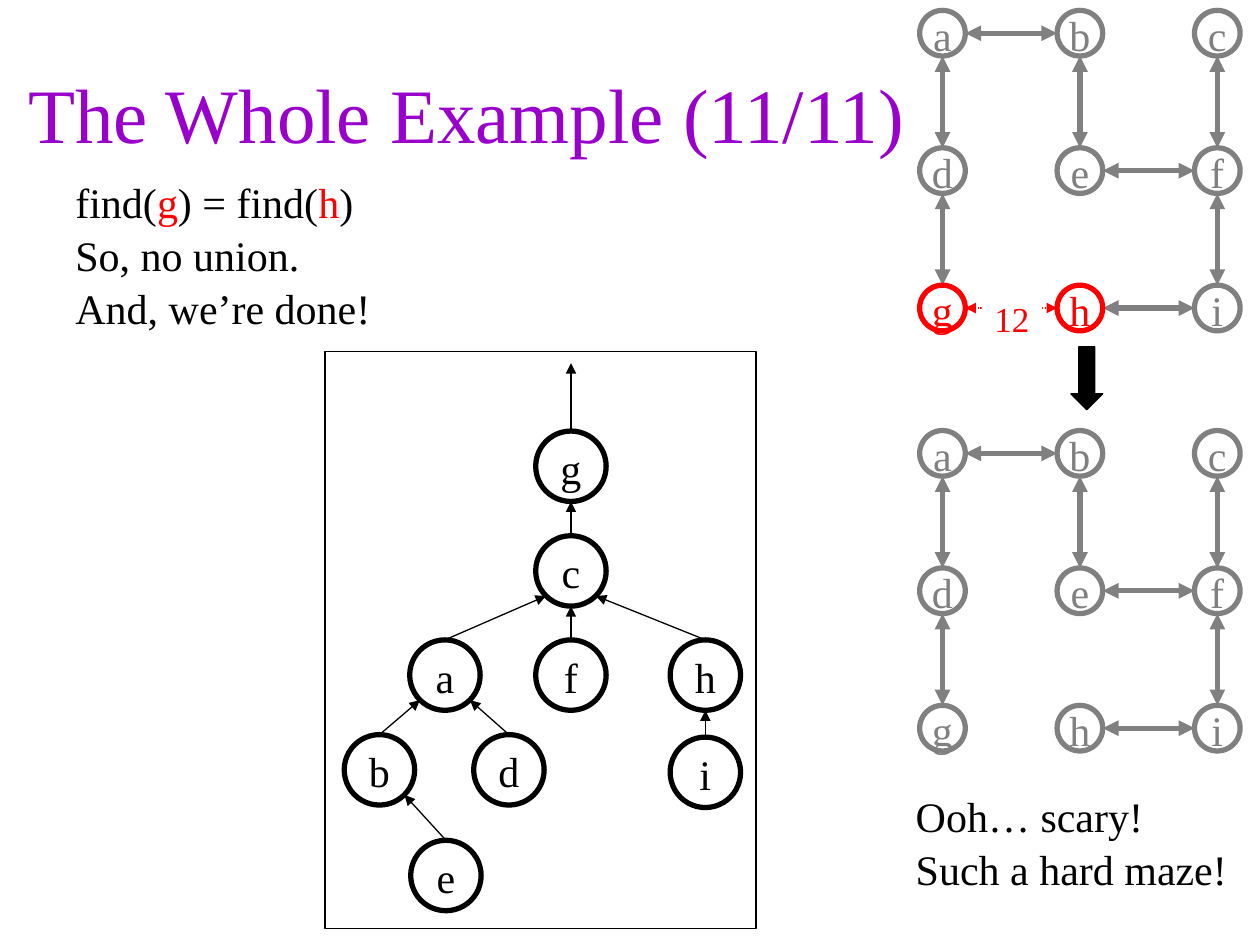
"""Build a maze-and-union-find slide with two mazes and an up-tree."""
from lxml import etree
from pptx import Presentation
from pptx import util as u
from pptx.dml.color import RGBColor
from pptx.enum import dml, shapes, text
from pptx.oxml.ns import qn

BLACK, WHITE, GREY, RED, PURPLE = "000000", "FFFFFF", "808080", "FF0000", "9900CC"
LETTERS = "abcdefghi"
PASSAGES = ["ab", "ad", "dg", "be", "ef", "cf", "fi", "hi"]
MAZE_LEFT, MAZE_STEP, MAZE_RADIUS = 19, 2.77, 0.46
TREE_RADIUS = 0.71
TREE_NODES = {
    "g": (11.51, 9.4), "c": (11.51, 11.51), "a": (8.97, 13.61),
    "f": (11.51, 13.61), "h": (14.22, 13.61), "b": (7.65, 15.52),
    "d": (10.26, 15.52), "i": (14.22, 15.57), "e": (8.99, 17.65),
}
PARENTS = {"c": "g", "a": "c", "f": "c", "h": "c", "b": "a", "d": "a", "i": "h", "e": "b"}


def colour(value):
    return RGBColor.from_string(value)


class Painter:
    def __init__(self, page, font="Times New Roman", size=24):
        self.page, self.font, self.size = page, font, size

    def letter(self, owner, paragraphs, ink=BLACK, size=None, centred=True,
               wrap=False, anchor=text.MSO_ANCHOR.MIDDLE):
        frame = owner.text_frame
        frame.word_wrap = wrap
        frame.vertical_anchor = anchor
        for number, runs in enumerate(paragraphs):
            para = frame.add_paragraph() if number else frame.paragraphs[0]
            para.alignment = text.PP_ALIGN.CENTER if centred else text.PP_ALIGN.LEFT
            para.line_spacing = 1.05
            para.font.name = self.font
            para.font.size = u.Pt(size or self.size)
            para.font.color.rgb = colour(ink)
            for words, accent in runs:
                span = para.add_run()
                span.text = words
                if accent:
                    span.font.color.rgb = colour(accent)

    def label(self, left, top, width, height, paragraphs, **style):
        box = self.page.shapes.add_textbox(*map(u.Cm, (left, top, width, height)))
        self.letter(box, paragraphs, **style)

    def shape(self, kind, left, top, width, height, fill=None, line=None, weight=0.75):
        item = self.page.shapes.add_shape(kind, *map(u.Cm, (left, top, width, height)))
        item.shadow.inherit = False
        if fill:
            item.fill.solid()
            item.fill.fore_color.rgb = colour(fill)
        else:
            item.fill.background()
        if line:
            item.line.color.rgb = colour(line)
            item.line.width = u.Pt(weight)
        else:
            item.line.fill.background()
        return item

    def node(self, name, centre, radius, ink):
        x, y = centre
        circle = self.shape(shapes.MSO_SHAPE.OVAL, x - radius, y - radius,
                            2 * radius, 2 * radius, line=ink, weight=3)
        self.letter(circle, [[(name, None)]], ink)

    def arrow(self, start, end, ink=BLACK, weight=0.75, double=False, dash=None):
        link = self.page.shapes.add_connector(
            shapes.MSO_CONNECTOR.STRAIGHT, *map(u.Cm, (*start, *end)))
        link.line.color.rgb = colour(ink)
        link.line.width = u.Pt(weight)
        if dash:
            link.line.dash_style = dash
        outline = link._element.spPr.find(qn("a:ln"))
        for tag in ("a:headEnd", "a:tailEnd") if double else ("a:tailEnd",):
            etree.SubElement(outline, qn(tag), type="triangle")
        etree.SubElement(link._element.spPr, qn("a:effectLst"))

    def maze(self, top, marked=""):
        centres = {name: (MAZE_LEFT + MAZE_STEP * (i % 3), top + MAZE_STEP * (i // 3))
                   for i, name in enumerate(LETTERS)}
        for first, second in PASSAGES:
            self.passage(centres[first], centres[second], GREY, 3)
        if marked:
            self.passage(*(centres[name] for name in marked), RED, 0.75,
                         dml.MSO_LINE.ROUND_DOT)
        for name, centre in centres.items():
            self.node(name, centre, MAZE_RADIUS, RED if name in marked else GREY)

    def passage(self, first, second, ink, weight, dash=None):
        (x1, y1), (x2, y2) = first, second
        dx, dy = (MAZE_RADIUS, 0) if x2 > x1 else (0, MAZE_RADIUS)
        self.arrow((x1 + dx, y1 + dy), (x2 - dx, y2 - dy), ink, weight, True, dash)

    def tree(self):
        for name, centre in TREE_NODES.items():
            self.node(name, centre, TREE_RADIUS, BLACK)
        for child, parent in PARENTS.items():
            (x, y), (px, py) = TREE_NODES[child], TREE_NODES[parent]
            side = (x > px) - (x < px)
            reach = TREE_RADIUS * (0.71 if side else 1)
            self.arrow((x, y - TREE_RADIUS), (px + side * reach, py + reach))
        x, y = TREE_NODES["g"]
        self.arrow((x, y - TREE_RADIUS), (x, 7.32))


def main():
    deck = Presentation()
    deck.slide_width, deck.slide_height = u.Cm(25.4), u.Cm(19.05)
    painter = Painter(deck.slides.add_slide(deck.slide_layouts[6]))
    top = text.MSO_ANCHOR.TOP

    painter.label(0.2, 0.64, 18.42, 3.18, [[("The Whole Example (11/11)", None)]],
                  ink=PURPLE, size=44, wrap=True)
    painter.label(1.27, 3.38, 6.45, 3.3, [
        [("find(", None), ("g", RED), (") = find(", None), ("h", RED), (")", None)],
        [("So, no union.", None)],
        [("And, we’re done!", None)],
    ], centred=False, anchor=top)

    painter.maze(0.67, marked="gh")
    weight_box = painter.shape(shapes.MSO_SHAPE.RECTANGLE, 19.79, 5.84, 1.22, 1.12, fill=WHITE)
    painter.letter(weight_box, [[("12", None)]], RED, size=20, anchor=top)

    painter.shape(shapes.MSO_SHAPE.RECTANGLE, 6.55, 7.09, 8.69, 11.63, fill=WHITE, line=BLACK)
    painter.tree()

    painter.maze(9.14)
    painter.shape(shapes.MSO_SHAPE.DOWN_ARROW, 21.59, 6.99, 0.64, 1.27, fill=BLACK, line=BLACK)
    painter.label(18.21, 15.77, 6.78, 2.29,
                  [[("Ooh… scary!", None)], [("Such a hard maze!", None)]],
                  centred=False, anchor=top)
    deck.save("out.pptx")


if __name__ == "__main__":
    main()
